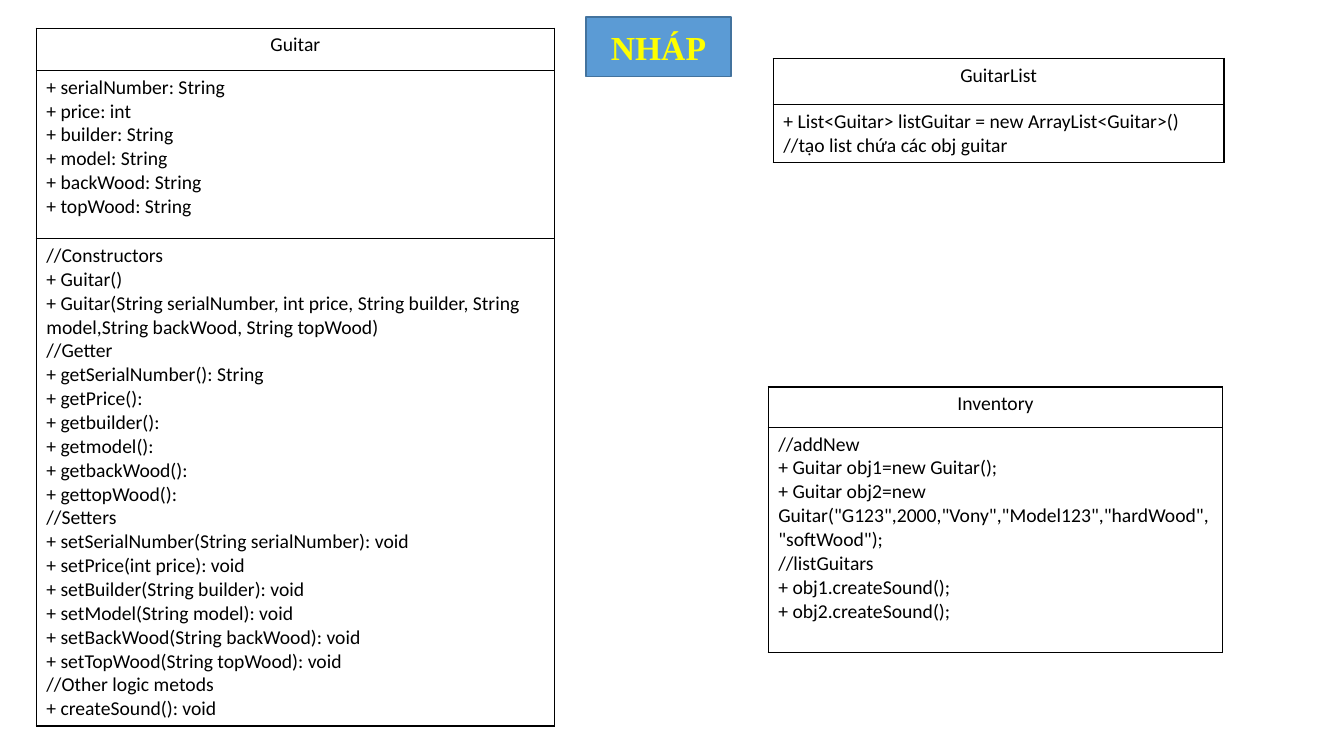
import pptx
import pptx.dml.color
import pptx.enum.shapes
import pptx.enum.text
import pptx.oxml
import pptx.oxml.ns
import pptx.util

SLIDE_WIDTH = pptx.util.Inches(13.33)
SLIDE_HEIGHT = pptx.util.Inches(7.5)
BLACK = pptx.dml.color.RGBColor(0x00, 0x00, 0x00)
YELLOW = pptx.dml.color.RGBColor(0xFF, 0xFF, 0x00)
BLUE = pptx.dml.color.RGBColor(0x5B, 0x9B, 0xD5)
DARK_BLUE = pptx.dml.color.RGBColor(0x43, 0x73, 0x9E)
LEFT = pptx.enum.text.PP_ALIGN.LEFT
CENTER = pptx.enum.text.PP_ALIGN.CENTER

GUITAR_FIELDS = """+ serialNumber: String
+ price: int
+ builder: String
+ model: String
+ backWood: String
+ topWood: String"""

GUITAR_METHODS = """//Constructors
+ Guitar()
+ Guitar(String serialNumber, int price, String builder, String model,String backWood, String topWood)
//Getter
+ getSerialNumber(): String
+ getPrice():
+ getbuilder():
+ getmodel():
+ getbackWood():
+ gettopWood():
//Setters
+ setSerialNumber(String serialNumber): void
+ setPrice(int price): void
+ setBuilder(String builder): void
+ setModel(String model): void
+ setBackWood(String backWood): void
+ setTopWood(String topWood): void
//Other logic metods
+ createSound(): void"""

LIST_FIELDS = """+ List<Guitar> listGuitar = new ArrayList<Guitar>()
//tạo list chứa các obj guitar"""

INVENTORY_STEPS = """//addNew
+ Guitar obj1=new Guitar();
+ Guitar obj2=new Guitar("G123",2000,"Vony","Model123","hardWood","softWood");
//listGuitars
+ obj1.createSound();
+ obj2.createSound();"""


def across(percent):
    return round(SLIDE_WIDTH * percent / 100)


def down(percent):
    return round(SLIDE_HEIGHT * percent / 100)


def write_text(frame, text, font="Calibri", size=14, color=BLACK, bold=False, align=LEFT):
    """Fill a text frame with one paragraph per line of text."""
    frame.word_wrap = True
    frame.text = text
    for paragraph in frame.paragraphs:
        paragraph.alignment = align
        for run in paragraph.runs:
            run.font.name = font
            run.font.size = pptx.util.Pt(size)
            run.font.color.rgb = color
            run.font.bold = bold


def outline_cell(cell):
    properties = cell._tc.get_or_add_tcPr()
    for position, side in enumerate(("lnL", "lnR", "lnT", "lnB")):
        properties.insert(position, pptx.oxml.parse_xml(
            f'<a:{side} {pptx.oxml.ns.nsdecls("a")} w="{pptx.util.Pt(1)}">'
            f'<a:solidFill><a:srgbClr val="{BLACK}"/></a:solidFill></a:{side}>'))


def add_class_box(slide, left, top, width, compartments):
    """Draw a class as a table; compartments pair a height with its text, name first."""
    total_height = sum(height for height, text in compartments)
    class_box = slide.shapes.add_table(len(compartments), 1, across(left), down(top),
                                       across(width), down(total_height)).table
    class_box.first_row = False
    class_box.horz_banding = False
    for index, (height, text) in enumerate(compartments):
        class_box.rows[index].height = down(height)
        cell = class_box.cell(index, 0)
        cell.fill.background()
        outline_cell(cell)
        write_text(cell.text_frame, text, align=LEFT if index else CENTER)


def add_draft_label(slide, left, top, width, height):
    label = slide.shapes.add_shape(pptx.enum.shapes.MSO_SHAPE.RECTANGLE, across(left),
                                   down(top), across(width), down(height))
    label.shadow.inherit = False
    label.fill.solid()
    label.fill.fore_color.rgb = BLUE
    label.line.color.rgb = DARK_BLUE
    label.line.width = pptx.util.Pt(1)
    label.text_frame.vertical_anchor = pptx.enum.text.MSO_ANCHOR.MIDDLE
    write_text(label.text_frame, "NHÁP", font="Times New Roman", size=24,
               color=YELLOW, bold=True, align=CENTER)


def main():
    deck = pptx.Presentation()
    deck.slide_width = SLIDE_WIDTH
    deck.slide_height = SLIDE_HEIGHT
    slide = deck.slides.add_slide(deck.slide_layouts[6])

    add_class_box(slide, 2.7, 3.73, 38.56,
                  [(5.6, "Guitar"), (22.27, GUITAR_FIELDS), (64.4, GUITAR_METHODS)])
    add_class_box(slide, 57.54, 7.73, 33.53,
                  [(6.13, "GuitarList"), (7.6, LIST_FIELDS)])
    add_class_box(slide, 57.16, 51.2, 33.83,
                  [(5.33, "Inventory"), (29.73, INVENTORY_STEPS)])
    add_draft_label(slide, 43.59, 2.27, 10.8, 7.87)

    deck.save("out.pptx")


if __name__ == "__main__":
    main()
